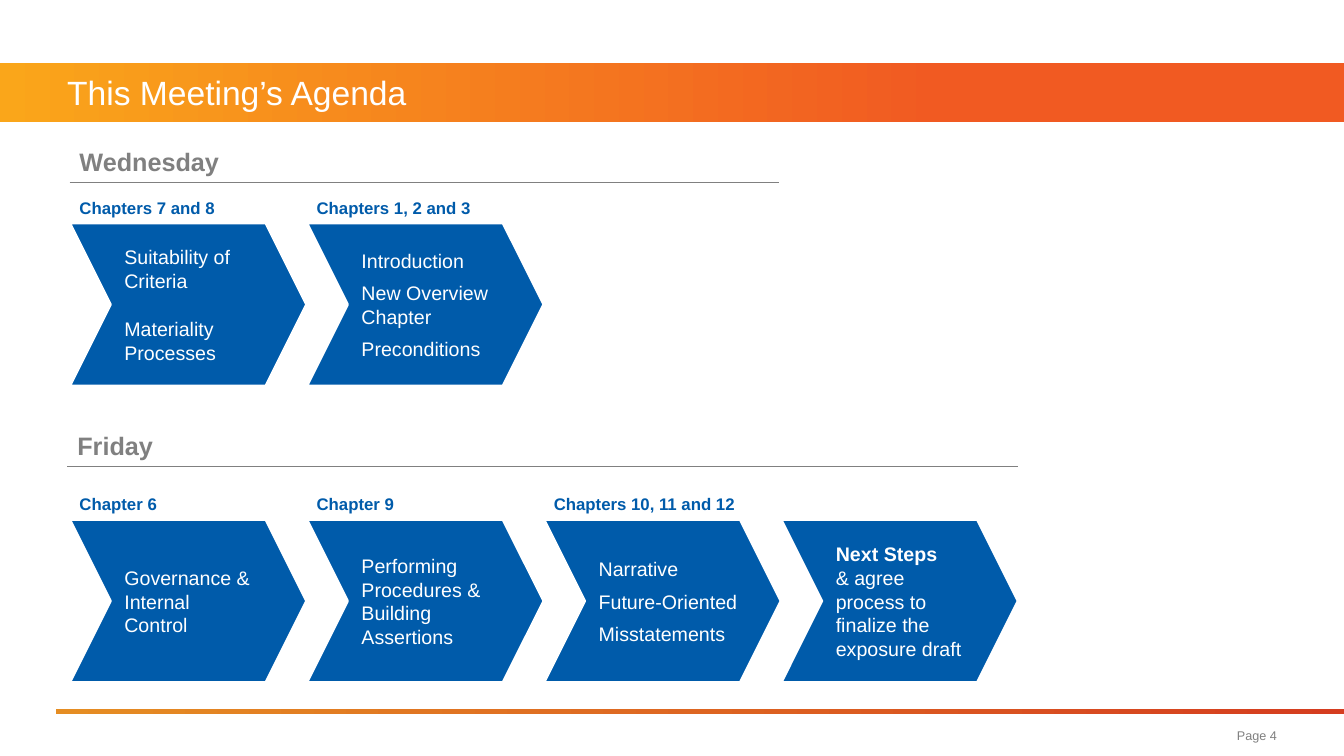
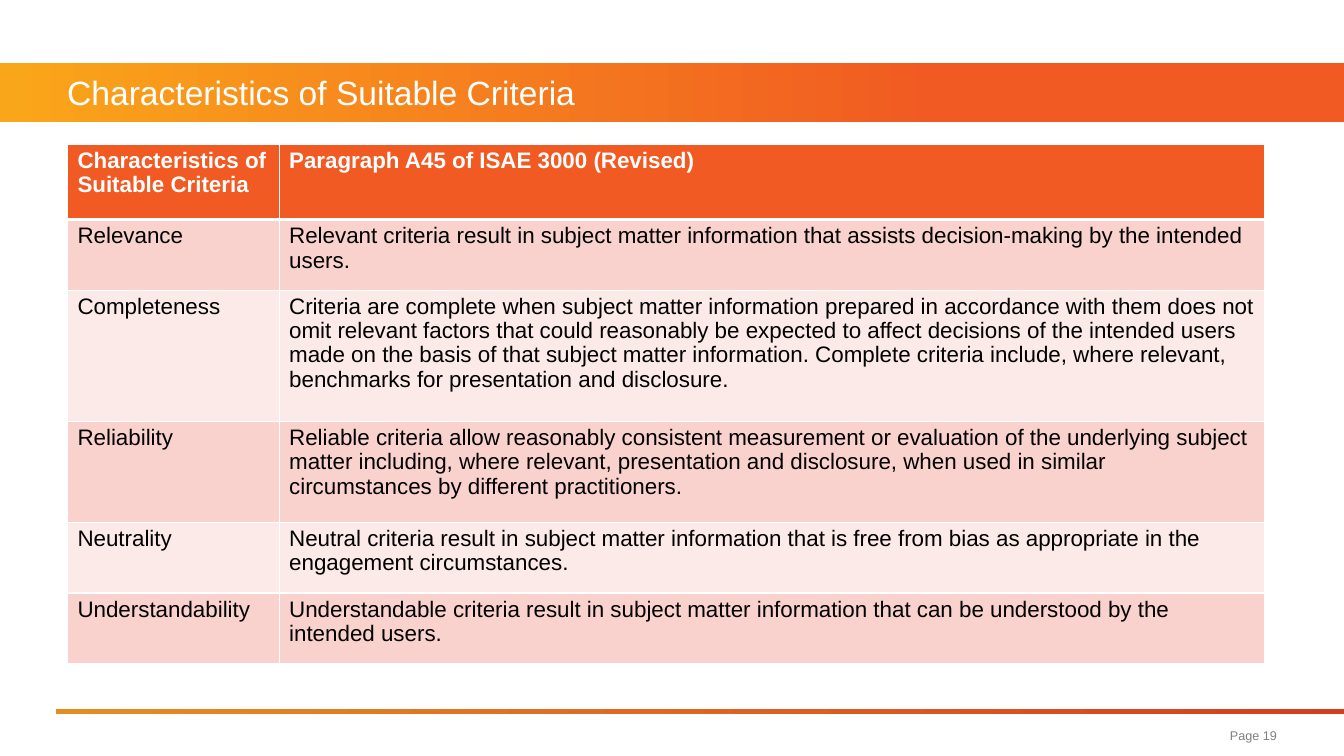
from dataclasses import dataclass

from pptx import Presentation
from pptx.dml.color import RGBColor
from pptx.enum.shapes import MSO_CONNECTOR, MSO_SHAPE
from pptx.enum.text import MSO_ANCHOR, PP_ALIGN
from pptx.oxml import parse_xml
from pptx.oxml.ns import nsdecls
from pptx.util import Pt


@dataclass(frozen=True)
class Theme:
    font: str = "Arial"
    white: str = "FFFFFF"
    black: str = "000000"
    grey: str = "808080"
    blue: str = "005BAA"
    orange: str = "F15A22"
    band: tuple = (("FAA61A", 0), ("F15A22", 0.7))
    footer_bar: tuple = (("E58D23", 0), ("D53D20", 1))
    row_tints: tuple = ("FAD2CD", "FCEAE8")
    title_size: int = 24
    day_size: int = 18
    cell_size: int = 16
    stage_size: int = 14
    chapter_size: int = 12
    page_size: int = 9


THEME = Theme()
FLUSH = dict(margin_left=0, margin_top=0, margin_right=0, margin_bottom=0,
             vertical_anchor=MSO_ANCHOR.MIDDLE, word_wrap=True)
WRAPPED = dict(word_wrap=True)


def write(frame, lines, size, color, frame_format, bold=False, **paragraph_format):
    """Fill a text frame, one paragraph per line."""
    for name, value in frame_format.items():
        setattr(frame, name, value)
    for index, line in enumerate(lines):
        paragraph = frame.add_paragraph() if index else frame.paragraphs[0]
        for name, value in paragraph_format.items():
            setattr(paragraph, name, value)
        run = paragraph.add_run()
        run.text = line
        for name, value in dict(name=THEME.font, size=Pt(size), bold=bold).items():
            setattr(run.font, name, value)
        run.font.color.rgb = RGBColor.from_string(color)


def box(slide, left, top, width, height):
    """Add a text box and return its text frame."""
    return slide.shapes.add_textbox(Pt(left), Pt(top), Pt(width), Pt(height)).text_frame


prs = Presentation()
prs.slide_width, prs.slide_height = Pt(960), Pt(540)

# Shared band, footer bar, title and page number
slides = []
for title, page in (("This Meeting’s Agenda", "Page 4"),
                    ("Characteristics of Suitable Criteria", "Page 19")):
    slide = prs.slides.add_slide(prs.slide_layouts[6])
    slides.append(slide)
    for left, top, width, height, colors in ((0, 45, 960, 42, THEME.band),
                                             (40, 506.4, 920, 3.6, THEME.footer_bar)):
        bar = slide.shapes.add_shape(MSO_SHAPE.RECTANGLE, Pt(left), Pt(top),
                                     Pt(width), Pt(height))
        bar.shadow.inherit = False
        bar.line.fill.background()
        bar.fill.gradient()
        bar.fill.gradient_angle = 0
        for stop, (color, position) in zip(bar.fill.gradient_stops, colors):
            stop.color.rgb = RGBColor.from_string(color)
            stop.position = position
    write(box(slide, 48, 45, 864, 42), [title], THEME.title_size, THEME.white, FLUSH)
    write(box(slide, 622, 513, 290, 24), [page], THEME.page_size, THEME.grey, FLUSH,
          alignment=PP_ALIGN.RIGHT)
agenda, criteria = slides

# Agenda: day, left edge, heading top, rule end, chevron top,
# and stages as chapters, lines, paragraph gap, right margin
days = (
    ("Wednesday", 49.7, 100.8, 556.6, 159.2, (
        ("Chapters 7 and 8", ["Suitability of Criteria", "Materiality Processes"], 17, 10),
        ("Chapters 1, 2 and 3",
         ["Introduction", "New Overview Chapter", "Preconditions"], 6, 10),
    )),
    ("Friday", 48.2, 303.9, 727.4, 371, (
        ("Chapter 6", ["Governance & Internal Control"], 0, 10),
        ("Chapter 9", ["Performing Procedures & Building Assertions"], 0, 10),
        ("Chapters 10, 11 and 12",
         ["Narrative", "Future-Oriented", "Misstatements"], 6, 0),
        ("", ["Next Steps", "& agree process to finalize the exposure draft"], 0, 0),
    )),
)
stage_left, stage_pitch, stage_height = 49.7, 169.4, 116.6

for day, day_left, day_top, rule_end, stage_top, stages in days:
    write(box(agenda, day_left, day_top, 152.6, 29), [day], THEME.day_size, THEME.grey,
          WRAPPED, bold=True)
    rule_top = Pt(day_top + 29.4)
    rule = agenda.shapes.add_connector(MSO_CONNECTOR.STRAIGHT, Pt(day_left), rule_top,
                                       Pt(rule_end), rule_top)
    rule.line.color.rgb = RGBColor.from_string(THEME.grey)
    rule.line.width = Pt(1)
    rule._element.spPr.append(parse_xml(f"<a:effectLst {nsdecls('a')}/>"))

    for column, (chapters, lines, gap, right_margin) in enumerate(stages):
        left = stage_left + column * stage_pitch
        if chapters:
            write(box(agenda, left, stage_top - 21.7, 152.6, 21.6), [chapters],
                  THEME.chapter_size, THEME.blue, WRAPPED, bold=True)
        stage = agenda.shapes.add_shape(MSO_SHAPE.CHEVRON, Pt(left), Pt(stage_top),
                                        Pt(stage_pitch), Pt(stage_height))
        stage.adjustments[0] = 0.25
        stage.shadow.inherit = False
        stage.fill.solid()
        stage.fill.fore_color.rgb = RGBColor.from_string(THEME.blue)
        stage.line.color.rgb = RGBColor.from_string(THEME.white)
        stage.line.width = Pt(2)
        margins = dict(FLUSH, margin_left=Pt(10), margin_right=Pt(right_margin))
        write(stage.text_frame, lines, THEME.stage_size, THEME.white, margins,
              alignment=PP_ALIGN.LEFT, line_spacing=Pt(17), space_after=Pt(gap))
        # The closing stage has no chapters and leads with a bold line
        stage.text_frame.paragraphs[0].runs[0].font.bold = not chapters

# Criteria table: row height, characteristic, explanation
rows = (
    (54, "Characteristics of Suitable Criteria", "Paragraph A45 of ISAE 3000 (Revised)"),
    (50.6, "Relevance",
     "Relevant criteria result in subject matter information that assists "
     "decision-making by the intended users."),
    (93.6, "Completeness",
     "Criteria are complete when subject matter information prepared in accordance "
     "with them does not omit relevant factors that could reasonably be expected to "
     "affect decisions of the intended users made on the basis of that subject matter "
     "information. Complete criteria include, where relevant, benchmarks for "
     "presentation and disclosure."),
    (72, "Reliability",
     "Reliable criteria allow reasonably consistent measurement or evaluation of the "
     "underlying subject matter including, where relevant, presentation and "
     "disclosure, when used in similar circumstances by different practitioners."),
    (50.6, "Neutrality",
     "Neutral criteria result in subject matter information that is free from bias as "
     "appropriate in the engagement circumstances."),
    (50.6, "Understandability",
     "Understandable criteria result in subject matter information that can be "
     "understood by the intended users."),
)
column_widths = (151.2, 704)
table = criteria.shapes.add_table(
    len(rows), len(column_widths), Pt(48.2), Pt(102.8), Pt(sum(column_widths)),
    Pt(sum(height for height, *_ in rows))).table
table.horz_banding = False
for column, width in zip(table.columns, column_widths):
    column.width = Pt(width)

for index, (height, *texts) in enumerate(rows):
    table.rows[index].height = Pt(height)
    header = index == 0
    fill = THEME.orange if header else THEME.row_tints[(index - 1) % 2]
    # A thick line parts the header from the body
    borders = dict(lnL=1, lnR=1, lnT=3 if index == 1 else 1, lnB=3 if header else 1)
    for cell, text in zip(table.rows[index].cells, texts):
        cell.fill.solid()
        cell.fill.fore_color.rgb = RGBColor.from_string(fill)
        write(cell.text_frame, [text], THEME.cell_size,
              THEME.white if header else THEME.black, {}, bold=header,
              line_spacing=0.97, space_after=Pt(3))
        for place, (side, weight) in enumerate(borders.items()):
            cell._tc.get_or_add_tcPr().insert(place, parse_xml(
                f'<a:{side} {nsdecls("a")} w="{Pt(weight)}"><a:solidFill>'
                f'<a:srgbClr val="{THEME.white}"/></a:solidFill></a:{side}>'))

prs.save("out.pptx")
